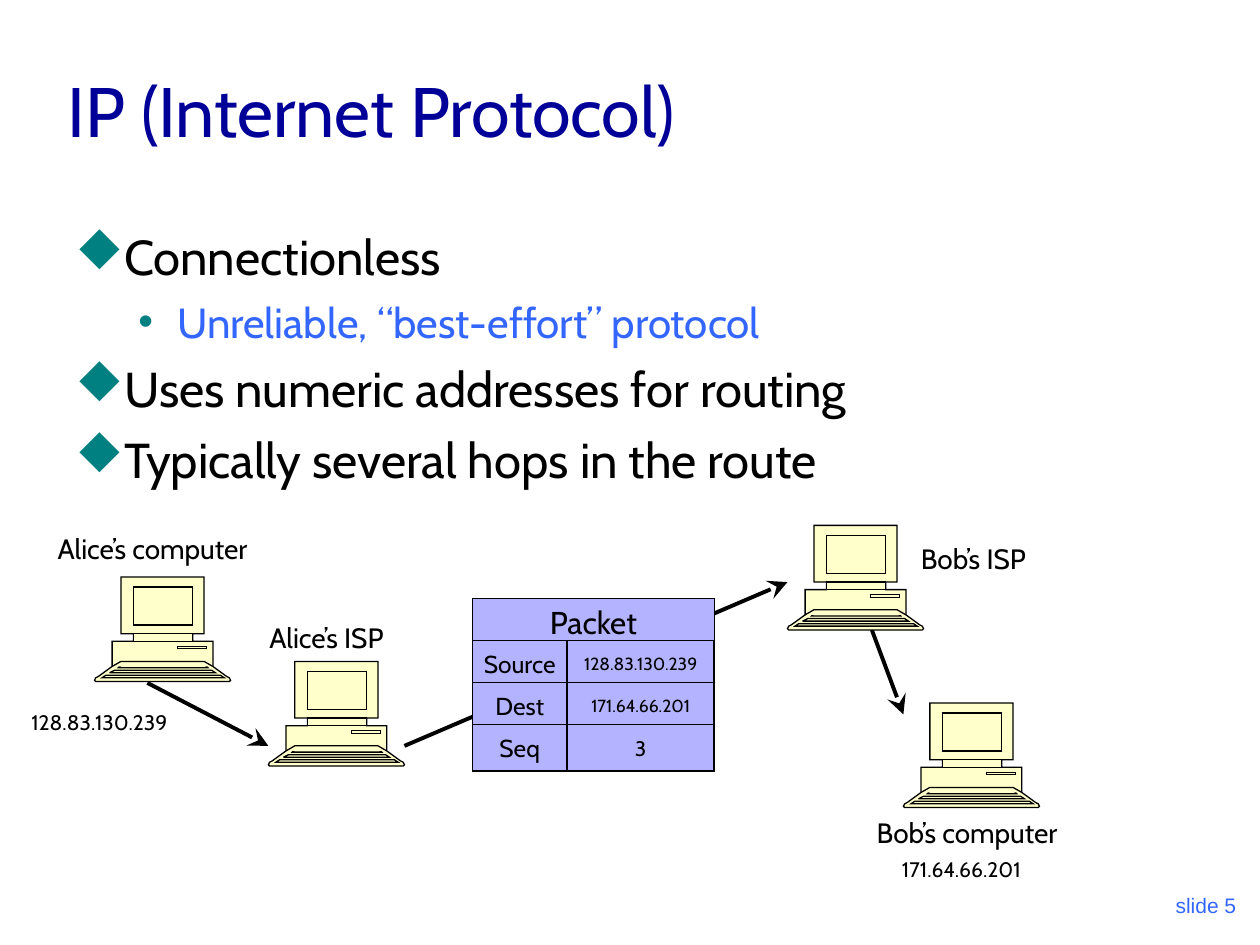
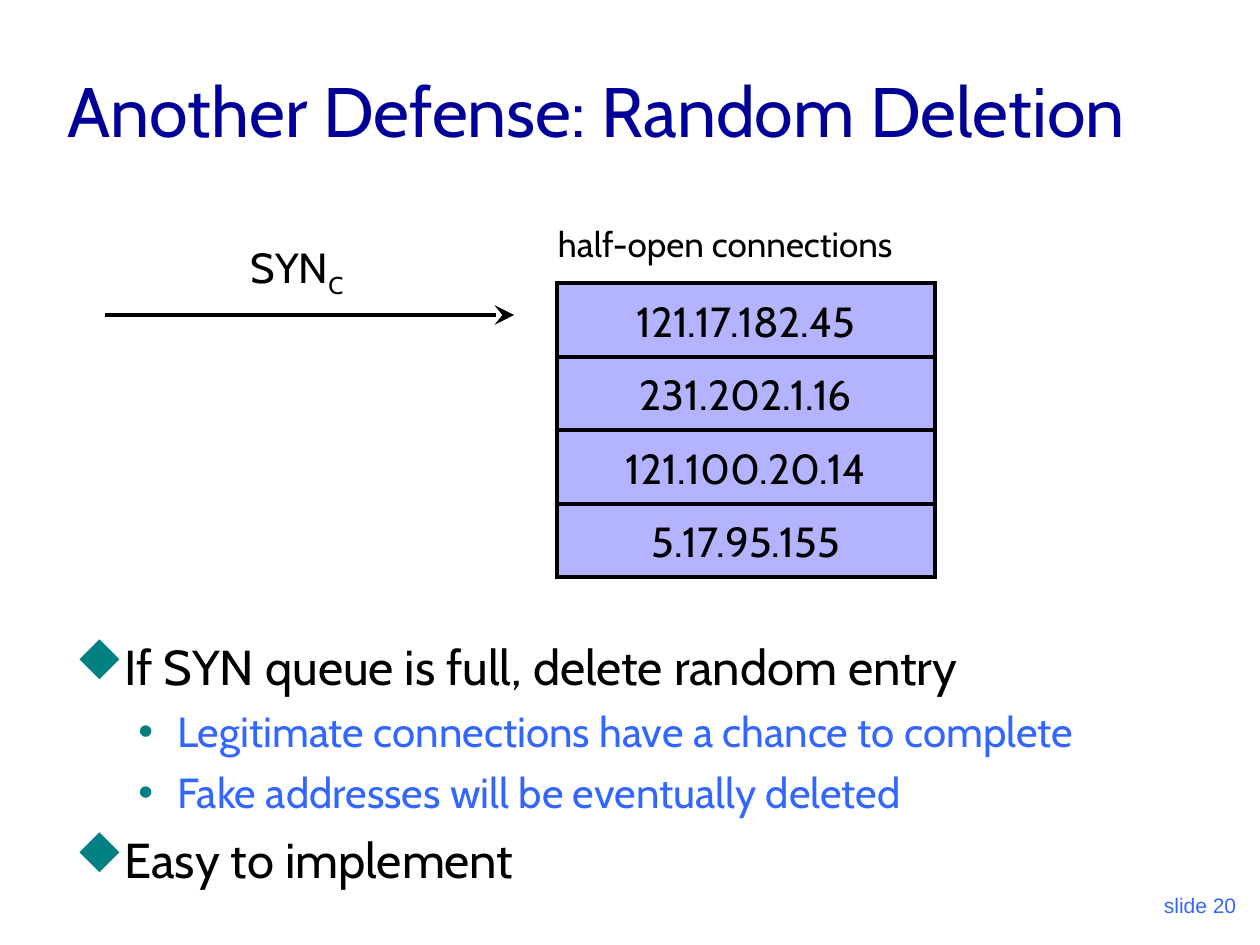
from lxml import etree
from pptx import Presentation
from pptx.dml.color import RGBColor
from pptx.enum import shapes, text
from pptx.oxml.ns import qn
from pptx.util import Inches, Pt

# ---- Shared look ----
COLORS = {"title": "000099", "body": "000000", "sub": "3366FF", "bullet": "008080",
          "cell": "B3B3FF", "computer": "FFFFCC", "line": "000000"}
FONT, FOOTER_FONT = "Cabin", "Arial"
TITLE_BOX = (0.44, 0.25, 9.22, 1)
FOOTER_BOX = (7.83, 6.83, 2.08, 0.5)
# bullet, bullet font, size, colour, space before, left margin, hanging indent
LEVELS = [("u", "Wingdings", 28, "body", 7, 0.38, -0.38),
          ("•", "Arial", 24, "sub", 6, 0.81, -0.31)]

# ---- Slide 5: IP ----
IP_BULLETS = [(0, "Connectionless"),
              (1, "Unreliable, “best-effort” protocol"),
              (0, "Uses numeric addresses for routing"),
              (0, "Typically several hops in the route")]
COMPUTERS = [(0.75, 4.58), (2.13, 5.25), (6.25, 4.17), (7.17, 5.58)]
HOPS = [((1.17, 5.42), (2.13, 5.92)),
        ((3.21, 5.92), (6.25, 4.62)),
        ((6.92, 5), (7.17, 5.67))]
IP_LABELS = [("Alice’s computer", 16, (0.36, 4.17, 1.91, 0.37)),
             ("Alice’s ISP", 16, (2.04, 4.88, 1.22, 0.37)),
             ("Bob’s ISP", 16, (7.21, 4.25, 1.15, 0.37)),
             ("Bob’s computer", 16, (6.86, 6.42, 1.83, 0.37)),
             ("128.83.130.239", 12, (0.15, 5.58, 1.38, 0.3)),
             ("171.64.66.201", 12, (7.06, 6.75, 1.29, 0.3))]
PACKET_FIELDS = [("Source", "128.83.130.239", 10),
                 ("Dest", "171.64.66.201", 10),
                 ("Seq", "3", 12)]
PACKET_LEFT, PACKET_TOP = 3.75, 4.75
NAME_W, VALUE_W = 0.75, 1.17
FIELD_H, FIELD_PITCH = 0.37, 1 / 3


def box(x1, y1, x2, y2):
    return [(x1, y1), (x2, y1), (x2, y2), (x1, y2)]


# Computer parts, relative to its top left corner: (points, closed)
COMPUTER_PARTS = [
    ([(1.05, 0.79), (0.94, 0.71), (0.94, 0.51), (0.78, 0.51), (0.78, 0.45), (0.87, 0.45),
      (0.87, 0), (0.21, 0), (0.21, 0.45), (0.31, 0.45), (0.31, 0.51), (0.14, 0.51),
      (0.14, 0.71), (0.03, 0.79), (0.01, 0.8), (0, 0.82), (0.01, 0.83), (0.03, 0.83),
      (1.05, 0.83), (1.07, 0.83), (1.08, 0.82), (1.07, 0.8)], True),
    ([(0.9, 0.72), (0.87, 0.69), (0.22, 0.69), (0.19, 0.72)], True),
    ([(0.96, 0.76), (0.93, 0.74), (0.16, 0.74), (0.12, 0.76)], True),
    ([(1.03, 0.8), (1, 0.78), (0.09, 0.78), (0.06, 0.8)], True),
    ([(0.94, 0.71), (0.87, 0.67), (0.21, 0.67), (0.14, 0.71)], False),
    (box(0.66, 0.55, 0.89, 0.57), True),
    (box(0.31, 0.08, 0.78, 0.38), True),
    (box(0.31, 0.45, 0.78, 0.51), True),
]

# ---- Slide 20: random deletion ----
QUEUE = ["121.17.182.45", "231.202.1.16", "121.100.20.14", "5.17.95.155"]
QUEUE_LEFT, QUEUE_TOP, QUEUE_W, ENTRY_H = 4.42, 2.25, 3, 7 / 12
SYN_ARROW = ((0.83, 2.5), (4.08, 2.5))
DEFENSE_BULLETS = [(0, "If SYN queue is full, delete random entry"),
                   (1, "Legitimate connections have a chance to complete"),
                   (1, "Fake addresses will be eventually deleted"),
                   (0, "Easy to implement")]


def color(name):
    return RGBColor.from_string(COLORS[name])


def add_run(p, words, size, shade="body", font=FONT):
    r = p.add_run()
    r.text = words
    r.font.name, r.font.size = font, Pt(size)
    r.font.color.rgb = color(shade)
    return r


def add_box(s, place, anchor=text.MSO_ANCHOR.TOP, wrap=True):
    tf = s.shapes.add_textbox(*map(Inches, place)).text_frame
    tf.word_wrap, tf.vertical_anchor = wrap, anchor
    return tf


def add_label(s, words, size, place):
    tf = add_box(s, place, wrap=False)
    tf.auto_size = text.MSO_AUTO_SIZE.SHAPE_TO_FIT_TEXT
    add_run(tf.paragraphs[0], words, size)
    return tf.paragraphs[0]


def add_bullets(s, items, place):
    tf = add_box(s, place)
    for i, (level, words) in enumerate(items):
        mark, mark_font, size, shade, before, margin, indent = LEVELS[level]
        p = tf.paragraphs[0] if i == 0 else tf.add_paragraph()
        p.level = level
        pPr = p._p.get_or_add_pPr()
        pPr.set("marL", str(Inches(margin)))
        pPr.set("indent", str(Inches(indent)))
        bu_color = etree.SubElement(pPr, qn("a:buClr"))
        etree.SubElement(bu_color, qn("a:srgbClr"), val=COLORS["bullet"])
        bu_font = etree.SubElement(pPr, qn("a:buFont"), typeface=mark_font)
        if mark_font == "Wingdings":
            bu_font.set("charset", "2")
        etree.SubElement(pPr, qn("a:buChar"), char=mark)
        if i:
            p.space_before = Pt(before)
        add_run(p, words, size, shade)


def style(sp, fill, width):
    sp.shadow.inherit = False
    sp.fill.solid()
    sp.fill.fore_color.rgb = color(fill)
    sp.line.color.rgb = color("line")
    sp.line.width = Pt(width)
    etree.SubElement(sp.line._get_or_add_ln(), qn("a:miter"), lim="800000")


def add_cell(s, words, size, place, width=1):
    sp = s.shapes.add_shape(shapes.MSO_SHAPE.RECTANGLE, *map(Inches, place))
    style(sp, "cell", width)
    tf = sp.text_frame
    tf.word_wrap, tf.vertical_anchor = False, text.MSO_ANCHOR.MIDDLE
    p = tf.paragraphs[0]
    p.alignment = text.PP_ALIGN.CENTER
    add_run(p, words, size)


def add_arrow(s, start, end):
    line = s.shapes.add_connector(shapes.MSO_CONNECTOR.STRAIGHT, *map(Inches, start + end))
    line.line.color.rgb = color("line")
    line.line.width = Pt(2.25)
    etree.SubElement(line.line._get_or_add_ln(), qn("a:tailEnd"),
                     type="stealth", w="lg", len="lg")
    etree.SubElement(line._element.spPr, qn("a:effectLst"))


def split_contours(sp):
    """Give each contour a path of its own, so that inner ones are filled too."""
    whole = sp._element.find(".//" + qn("a:path"))
    paths = whole.getparent()
    for step in list(whole):
        if step.tag == qn("a:moveTo"):
            part = etree.SubElement(paths, qn("a:path"), dict(whole.attrib))
        part.append(step)
    paths.remove(whole)


def add_computer(s, left, top):
    outline = None
    for points, closed in COMPUTER_PARTS:
        first, *rest = [(Inches(left + x), Inches(top + y)) for x, y in points]
        if outline is None:
            outline = s.shapes.build_freeform(*first)
        else:
            outline.move_to(*first)
        outline.add_line_segments(rest, close=closed)
    sp = outline.convert_to_shape()
    split_contours(sp)
    style(sp, "computer", 0.75)


def add_slide(prs, title, number):
    s = prs.slides.add_slide(prs.slide_layouts[6])
    p = add_box(s, FOOTER_BOX, text.MSO_ANCHOR.BOTTOM).paragraphs[0]
    p.alignment = text.PP_ALIGN.RIGHT
    add_run(p, f"slide {number}", 12, "sub", FOOTER_FONT)
    p = add_box(s, TITLE_BOX, text.MSO_ANCHOR.BOTTOM).paragraphs[0]
    add_run(p, title, 40, "title")
    return s


def build_ip(prs):
    s = add_slide(prs, "IP (Internet Protocol)", 5)
    add_bullets(s, IP_BULLETS, (0.5, 1.75, 8.94, 4.88))
    for start, end in HOPS:
        add_arrow(s, start, end)
    for left, top in COMPUTERS:
        add_computer(s, left, top)
    for label in IP_LABELS:
        add_label(s, *label)
    add_cell(s, "Packet", 18, (PACKET_LEFT, PACKET_TOP, NAME_W + VALUE_W, FIELD_H))
    for row, (name, value, size) in enumerate(PACKET_FIELDS, 1):
        top = PACKET_TOP + row * FIELD_PITCH
        add_cell(s, name, 14, (PACKET_LEFT, top, NAME_W, FIELD_H))
        add_cell(s, value, size, (PACKET_LEFT + NAME_W, top, VALUE_W, FIELD_H))


def build_defense(prs):
    s = add_slide(prs, "Another Defense: Random Deletion", 20)
    for row, address in enumerate(QUEUE):
        place = (QUEUE_LEFT, QUEUE_TOP + row * ENTRY_H, QUEUE_W, ENTRY_H)
        add_cell(s, address, 24, place, 2.25)
    add_arrow(s, *SYN_ARROW)
    p = add_label(s, "SYN", 24, (1.89, 1.87, 0.94, 0.56))
    subscript = add_run(p, "C", 24)
    subscript._r.get_or_add_rPr().set("baseline", "-25000")
    add_bullets(s, DEFENSE_BULLETS, (0.5, 5, 9.33, 2.25))
    add_label(s, "half-open connections", 20, (4.33, 1.72, 3.11, 0.44))


def main():
    prs = Presentation()
    prs.slide_width, prs.slide_height = Inches(10), Inches(7.5)
    build_ip(prs)
    build_defense(prs)
    prs.save("out.pptx")


if __name__ == "__main__":
    main()
